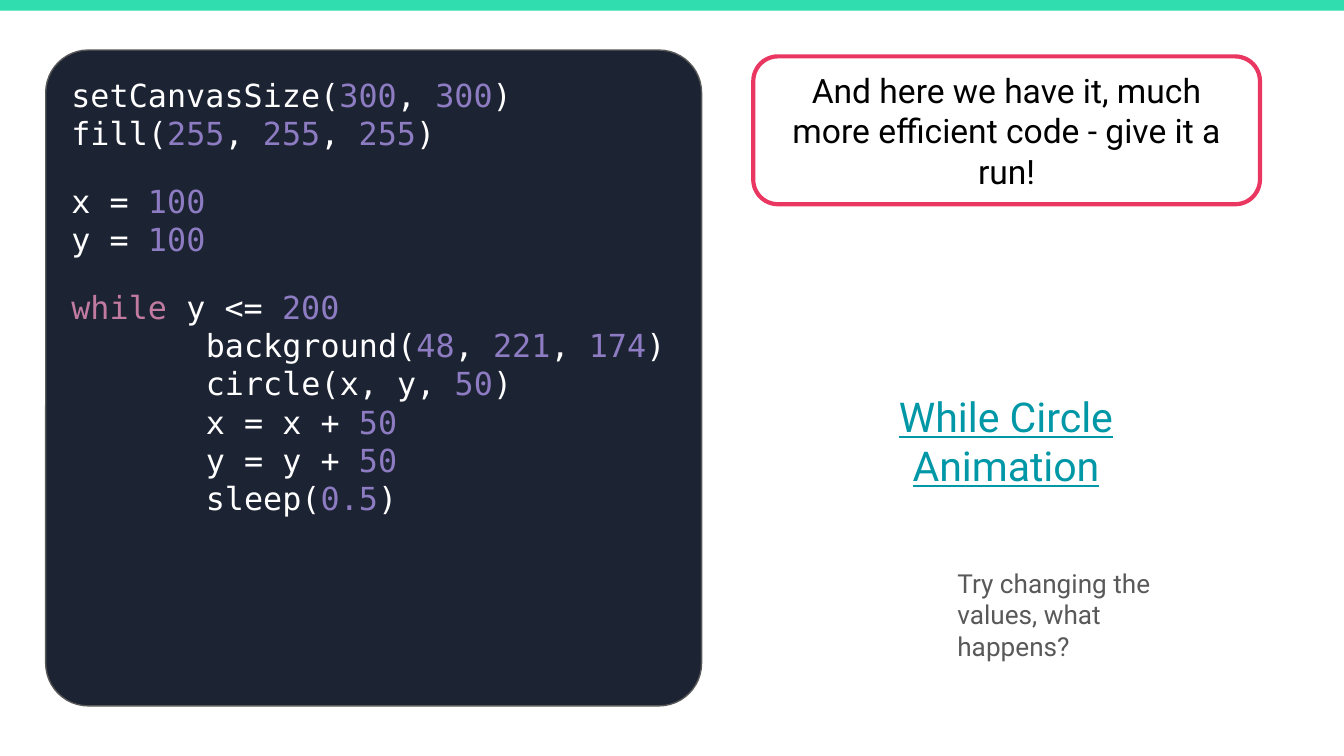
from itertools import groupby

from pptx import Presentation
from pptx.dml.color import RGBColor as Rgb
from pptx.enum.shapes import MSO_SHAPE as Kind
from pptx.enum.text import MSO_ANCHOR as Anchor, MSO_AUTO_SIZE as Fit, PP_ALIGN as Align
from pptx.util import Emu, Pt

PX = 2286  # 400 px to the inch
TAB = 400 * PX
MONO = {"name": "DejaVu Sans Mono", "size": Pt(17)}
NUM, KEY, PLAIN = "8E7CC3", "C27BA0", "FFFFFF"
CODE = [
    "setCanvasSize(300, 300)\nfill(255, 255, 255)",
    "x = 100\ny = 100",
    "while y <= 200\n\tbackground(48, 221, 174)\n\tcircle(x, y, 50)\n"
    "\tx = x + 50\n\ty = y + 50\n\tsleep(0.5)",
]


def hue(text):
    return Rgb.from_string(text)


def sans(size):
    return {"name": "Roboto", "size": Pt(size)}


def tint(line):
    """Split a code line into (text, colour) pairs."""
    if line.startswith("while"):
        yield "while", KEY
        line = line[len("while"):]
    for num, part in groupby(line, lambda c: c in "0123456789."):
        yield "".join(part), NUM if num else PLAIN


class Page:
    def __init__(self, deck):
        self.slide = deck.slides.add_slide(deck.slide_layouts[6])

    def shape(self, kind, box, fill=None, line=None, width=1, curve=None):
        item = self.slide.shapes.add_shape(kind, *(Emu(n * PX) for n in box))
        item.shadow.inherit = False
        if curve is not None:
            item.adjustments[0] = curve
        if fill:
            item.fill.solid()
            item.fill.fore_color.rgb = hue(fill)
        else:
            item.fill.background()
        if line:
            item.line.color.rgb = hue(line)
            item.line.width = Pt(width)
        else:
            item.line.fill.background()
        return item

    def frame(self, item, anchor=Anchor.TOP, fit=Fit.NONE):
        frame = item.text_frame
        form = {"word_wrap": True, "auto_size": fit, "vertical_anchor": anchor}
        form.update({"margin_" + side: Emu(40 * PX)
                     for side in ("left", "top", "right", "bottom")})
        for key, val in form.items():
            setattr(frame, key, val)
        return frame

    def run(self, para, text, color, font):
        run = para.add_run()
        run.text = text
        run.font.color.rgb = hue(color)
        for key, val in font.items():
            setattr(run.font, key, val)

    def label(self, item, text, color, font, align=Align.LEFT, **form):
        para = self.frame(item, **form).paragraphs[0]
        para.alignment = align
        self.run(para, text, color, font)

    def note(self, box, *args, **form):
        item = self.slide.shapes.add_textbox(*(Emu(n * PX) for n in box))
        self.label(item, *args, fit=Fit.SHAPE_TO_FIT_TEXT, **form)

    def code(self, item, blocks):
        frame = self.frame(item)
        for i, block in enumerate(blocks):
            para = frame.add_paragraph() if i else frame.paragraphs[0]
            para._p.get_or_add_pPr().set("defTabSz", str(TAB))
            para.alignment = Align.LEFT
            para.space_before = Pt(16 if i else 0)
            for j, line in enumerate(block.split("\n")):
                if j:
                    para.add_line_break()
                for text, color in tint(line):
                    self.run(para, text, color, MONO)


def main():
    deck = Presentation()
    deck.slide_width, deck.slide_height = Emu(4000 * PX), Emu(2250 * PX)
    page = Page(deck)

    # Top band
    page.shape(Kind.RECTANGLE, (-4, 0, 4008, 32), fill="30DDAE")

    # Code panel
    panel = page.shape(Kind.ROUNDED_RECTANGLE, (136, 149, 1952, 1952),
                       fill="1C2333", line="595959", width=0.75, curve=0.065)
    page.code(panel, CODE)

    # Callout
    call = page.shape(Kind.ROUNDED_RECTANGLE, (2242, 168, 1508, 440),
                      line="E93761", width=2.25, curve=0.167)
    page.label(call, "And here we have it, much more efficient code - give it a run!",
               "000000", sans(18), align=Align.CENTER, anchor=Anchor.MIDDLE)

    # Link text and prompt
    page.note((2450, 1125, 1088, 376), "While Circle Animation", "0097A7",
              {**sans(22), "underline": True}, align=Align.CENTER)
    page.note((2810, 1648, 668, 364), "Try changing the values, what happens?",
              "595959", sans(14))

    deck.save("out.pptx")


if __name__ == "__main__":
    main()
